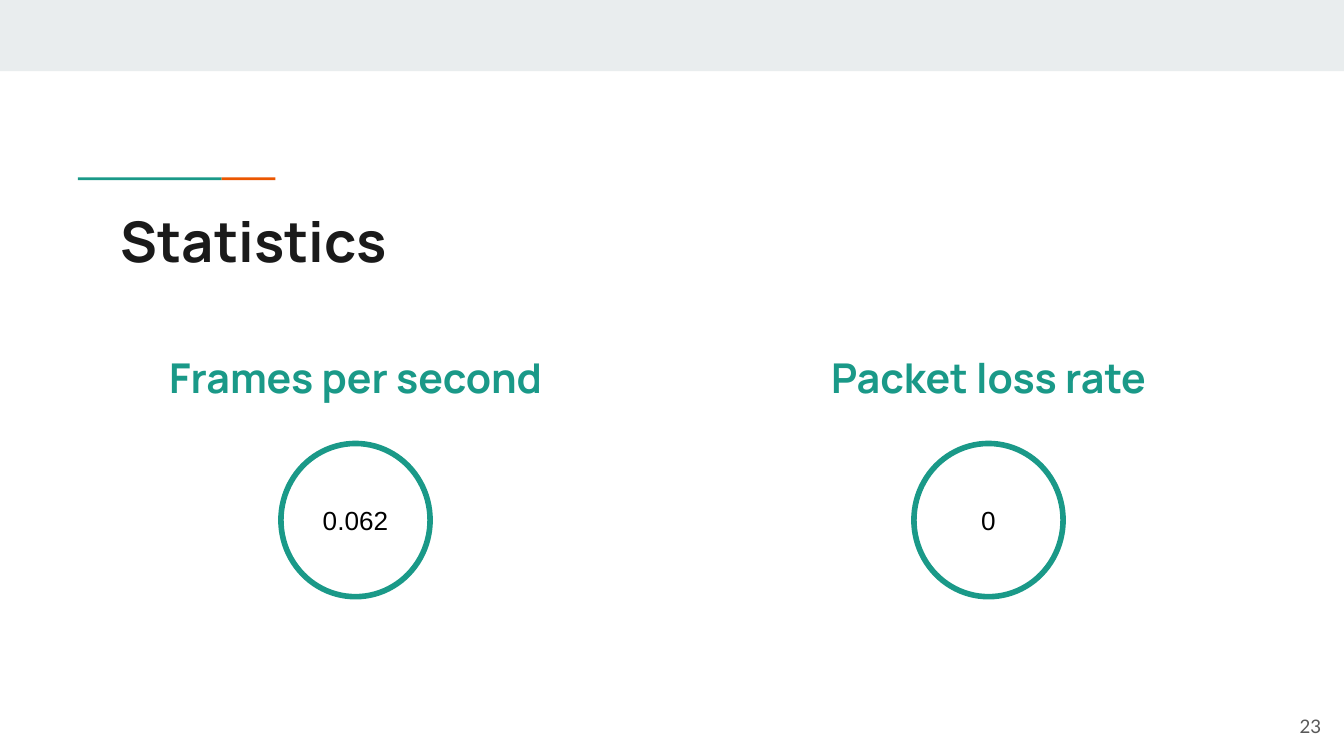
from dataclasses import dataclass

from pptx import Presentation
from pptx.dml.color import RGBColor
from pptx.enum.shapes import MSO_SHAPE
from pptx.enum.text import MSO_ANCHOR, MSO_AUTO_SIZE, PP_ALIGN
from pptx.util import Inches, Pt


@dataclass(frozen=True)
class Theme:
    band: str = "E9EDEE"
    accent: str = "1A9988"
    highlight: str = "EB5600"
    background: str = "FFFFFF"
    title: str = "1A1A1A"
    value: str = "000000"
    muted: str = "595959"
    heading_font: str = "Manrope"
    value_font: str = "Arial"
    number_font: str = "Lato"
    title_size: int = 30
    label_size: int = 22
    value_size: int = 14
    number_size: int = 10
    ring_width: int = 3


THEME = Theme()


def write_text(shape, text, font, size, color, bold=False,
               align=PP_ALIGN.LEFT, anchor=MSO_ANCHOR.TOP):
    frame = shape.text_frame
    frame.text = text
    frame.word_wrap = True
    frame.auto_size = MSO_AUTO_SIZE.NONE
    frame.vertical_anchor = anchor
    frame.margin_left = frame.margin_right = Inches(0.1)
    frame.margin_top = frame.margin_bottom = Inches(0.1)
    paragraph = frame.paragraphs[0]
    paragraph.alignment = align
    run_font = paragraph.runs[0].font
    run_font.name = font
    run_font.size = Pt(size)
    run_font.bold = bold
    run_font.color.rgb = RGBColor.from_string(color)


def add_filled_shape(slide, kind, left, top, width, height, color):
    shape = slide.shapes.add_shape(
        kind, Inches(left), Inches(top), Inches(width), Inches(height))
    shape.shadow.inherit = False
    shape.fill.solid()
    shape.fill.fore_color.rgb = RGBColor.from_string(color)
    shape.line.fill.background()
    return shape


def add_text_box(slide, left, top, width, height):
    return slide.shapes.add_textbox(
        Inches(left), Inches(top), Inches(width), Inches(height))


def add_accent_rule(slide, left, top, width, height):
    highlight_width = 0.4
    accent_width = width - highlight_width
    add_filled_shape(slide, MSO_SHAPE.RECTANGLE, left, top,
                     accent_width, height, THEME.accent)
    add_filled_shape(slide, MSO_SHAPE.RECTANGLE, left + accent_width, top,
                     highlight_width, height, THEME.highlight)


def place_title(slide, text, left, top, width, height):
    title = slide.shapes.title
    title.left, title.top = Inches(left), Inches(top)
    title.width, title.height = Inches(width), Inches(height)
    write_text(title, text, THEME.heading_font, THEME.title_size,
               THEME.title, bold=True)


def add_statistic(slide, label, value, left, top, width, height):
    label_height = 0.59
    ring_width, ring_height = 1.11, 1.14
    label_box = add_text_box(slide, left, top, width, label_height)
    write_text(label_box, label, THEME.heading_font, THEME.label_size,
               THEME.accent, bold=True, align=PP_ALIGN.CENTER)
    ring = add_filled_shape(
        slide, MSO_SHAPE.OVAL, left + (width - ring_width) / 2,
        top + height - ring_height, ring_width, ring_height, THEME.background)
    ring.line.color.rgb = RGBColor.from_string(THEME.accent)
    ring.line.width = Pt(THEME.ring_width)
    write_text(ring, value, THEME.value_font, THEME.value_size, THEME.value,
               align=PP_ALIGN.CENTER, anchor=MSO_ANCHOR.MIDDLE)


def add_slide_number(slide, number, left, top, width, height):
    number_box = add_text_box(slide, left, top, width, height)
    write_text(number_box, number, THEME.number_font, THEME.number_size,
               THEME.muted, align=PP_ALIGN.RIGHT, anchor=MSO_ANCHOR.MIDDLE)


def main():
    presentation = Presentation()
    presentation.slide_width = Inches(10)
    presentation.slide_height = Inches(10 * 9 / 16)
    slide = presentation.slides.add_slide(presentation.slide_layouts[5])

    add_filled_shape(slide, MSO_SHAPE.RECTANGLE, 0, 0, 10, 0.53, THEME.band)
    add_accent_rule(slide, 0.58, 1.32, 1.47, 0.02)
    place_title(slide, "Statistics", 0.8, 1.44, 8.41, 0.59)

    statistics = [("Frames per second", "0.062"), ("Packet loss rate", "0")]
    for column, (label, value) in enumerate(statistics):
        add_statistic(slide, label, value, 0.77 + column * 4.71, 2.52, 3.75, 1.92)

    add_slide_number(slide, "23", 9.33, 5.19, 0.6, 0.43)
    presentation.save("out.pptx")


if __name__ == "__main__":
    main()
